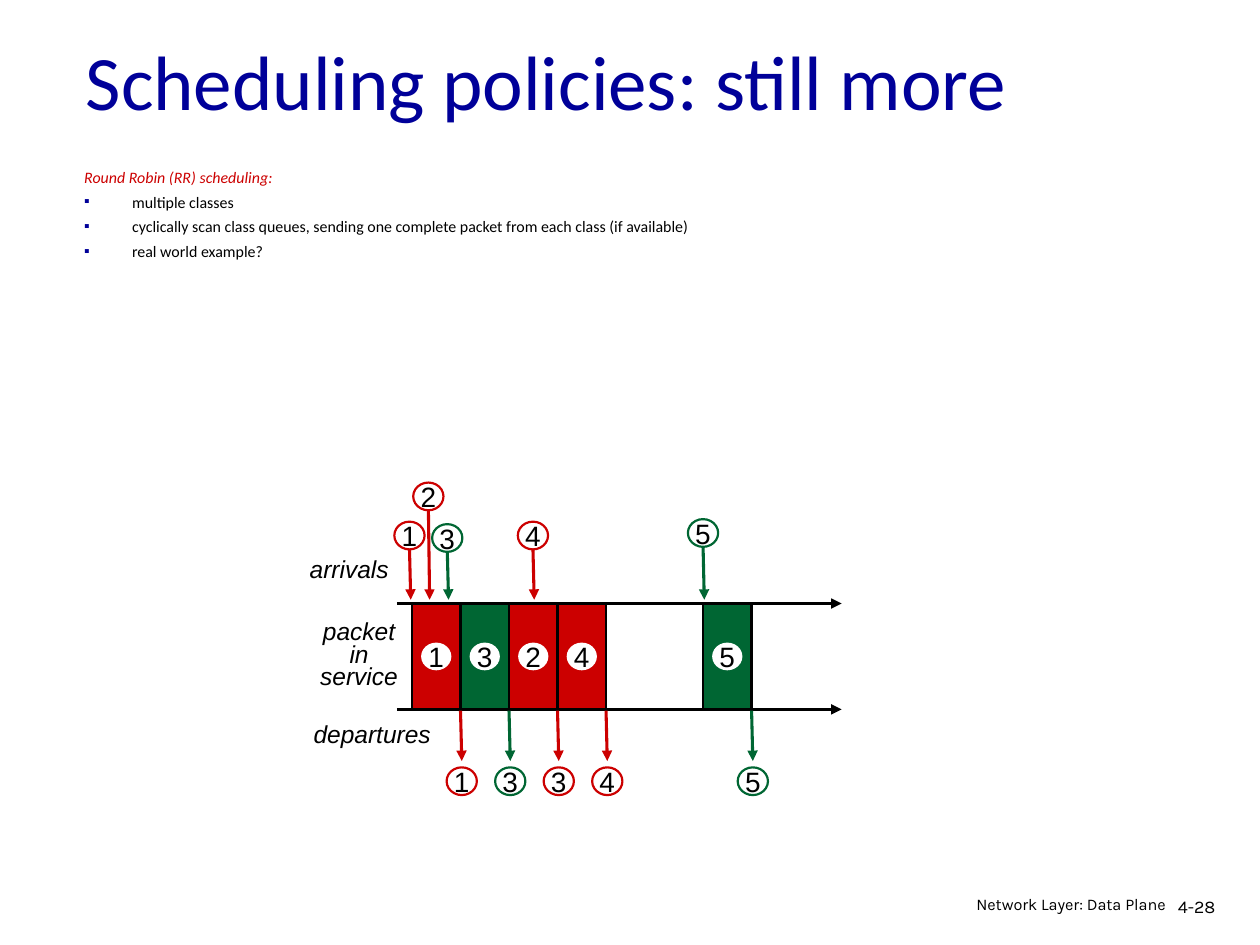
from lxml.etree import SubElement as Sub
from pptx import Presentation
from pptx.dml.color import RGBColor
from pptx.enum.shapes import MSO_CONNECTOR as Conn, MSO_SHAPE as Shape
from pptx.enum.text import MSO_ANCHOR as Anchor, PP_ALIGN as Align
from pptx.oxml.ns import qn
from pptx.util import Inches, Pt

BLACK = RGBColor(0, 0, 0)
WHITE = RGBColor(255, 255, 255)
RED = RGBColor(0xCC, 0, 0)
GREEN = RGBColor(0, 0x66, 0x33)
BLUE = RGBColor(0, 0, 0x99)

TITLE = "Scheduling policies: still more"
HEAD = "Round Robin (RR) scheduling:"
POINTS = [
    "multiple classes",
    "cyclically scan class queues, sending one complete packet from each class (if available)",
    "real world example?",
]
SERVED = [(0, "1", RED), (1, "3", GREEN), (2, "2", RED), (3, "4", RED), (6, "5", GREEN)]
LEFT = [(0, "1", RED), (1, "3", GREEN), (2, "3", RED), (3, "4", RED), (6, "5", GREEN)]
ARRIVED = [
    ("1", 3.25, 4.14, RED),
    ("2", 3.4, 3.83, RED),
    ("3", 3.55, 4.16, GREEN),
    ("4", 4.23, 4.14, RED),
    ("5", 5.58, 4.12, GREEN),
]
LABELS = [
    ("arrivals", (2.36, 4.35, 0.83, 0.34), {"wrap": False}),
    ("departures", (2.39, 5.66, 1.13, 0.34), {"wrap": False}),
    ("packet in service", (2.38, 4.9, 0.94, 0.63), {"align": Align.CENTER, "gap": Pt(12.7)}),
]
FOOT = [
    ("4-28", (9.25, 7.08, 0.61, 0.3), {"size": 10.2, "gap": 0.9}),
    ("Network Layer: Data Plane", (6.97, 7.08, 2.38, 0.26),
     {"size": 9.3, "gap": 0.8, "align": Align.RIGHT}),
]

START, SLOT = 3.27, 0.385
TOP, BASE, END = 4.79, 5.63, 6.68
DOT_W, DOT_H = 0.24, 0.22

deck = Presentation()
deck.slide_width, deck.slide_height = Inches(10), Inches(7.5)
slide = deck.slides.add_slide(deck.slide_layouts[5])
shapes = slide.shapes


def write(para, text, size=14, font="Arial", color=BLACK, italic=False,
          align=Align.LEFT, gap=None):
    para.alignment = align
    if gap:
        para.line_spacing = gap
    run = para.add_run()
    run.text = text
    run.font.name, run.font.size = font, Pt(size)
    run.font.color.rgb, run.font.italic = color, italic


def frame(box, wrap=True):
    area = shapes.add_textbox(*map(Inches, box)).text_frame
    area.word_wrap = wrap
    return area


def block(kind, box, fill, line=None):
    item = shapes.add_shape(kind, *map(Inches, box))
    item.shadow.inherit = False
    item.fill.solid()
    item.fill.fore_color.rgb = fill
    if line is None:
        item.line.fill.background()
    else:
        item.line.color.rgb, item.line.width = line, Pt(1.25)
    return item


def dot(text, mid, top, line=None):
    item = block(Shape.OVAL, (mid - DOT_W / 2, top, DOT_W, DOT_H), WHITE, line)
    area = item.text_frame
    area.word_wrap, area.vertical_anchor = False, Anchor.MIDDLE
    area.margin_left = area.margin_right = area.margin_top = area.margin_bottom = 0
    write(area.paragraphs[0], text, size=16, align=Align.CENTER)


def arrow(x1, y1, x2, y2, color, width=1.75):
    item = shapes.add_connector(Conn.STRAIGHT, *map(Inches, (x1, y1, x2, y2)))
    item.line.color.rgb, item.line.width = color, Pt(width)
    Sub(item.line._get_or_add_ln(), qn("a:tailEnd"), type="triangle")
    Sub(item._element.spPr, qn("a:effectLst"))


def bullet(para):
    props = para._p.get_or_add_pPr()
    props.set("marL", str(Inches(0.38)))
    props.set("indent", str(-Inches(0.38)))
    tint = Sub(props, qn("a:buClr"))
    Sub(tint, qn("a:srgbClr"), val=str(BLUE))
    Sub(props, qn("a:buFont"), typeface="Arial")
    Sub(props, qn("a:buChar"), char="▪")


title = shapes.title
title.left, title.top, title.width, title.height = map(Inches, (0.58, 0.01, 8.5, 1.25))
title.text_frame.vertical_anchor = Anchor.MIDDLE
write(title.text_frame.paragraphs[0], TITLE, size=44, font="Calibri", color=BLUE)

body = frame((0.57, 1.33, 8.5, 0.83))
write(body.paragraphs[0], HEAD, size=9.1, font="Calibri", color=RED, italic=True, gap=0.65)
for text in POINTS:
    para = body.add_paragraph()
    bullet(para)
    para.space_before = Pt(7)
    write(para, text, size=9.1, font="Calibri", gap=0.65)

for y in (TOP, BASE):
    arrow(3.15, y, END, y, BLACK, 2)

for col, text, color in SERVED:
    x = START + col * SLOT
    block(Shape.RECTANGLE, (x, TOP, SLOT, BASE - TOP), color, BLACK)
    dot(text, x + SLOT / 2, (TOP + BASE - DOT_H) / 2, None)

for text, mid, top, color in ARRIVED:
    arrow(mid, top + DOT_H, mid + 0.01, TOP - 0.03, color)
    dot(text, mid, top, color)

for col, text, color in LEFT:
    x = START + (col + 1) * SLOT
    arrow(x, BASE + 0.01, x + 0.01, BASE + 0.41, color)
    dot(text, x + 0.01, BASE + 0.46, color)

for text, box, look in LABELS:
    look = dict(look)
    area = frame(box, look.pop("wrap", True))
    write(area.paragraphs[0], text, italic=True, **look)

for text, box, look in FOOT:
    write(frame(box).paragraphs[0], text, font="Karla", **look)

deck.save("out.pptx")
